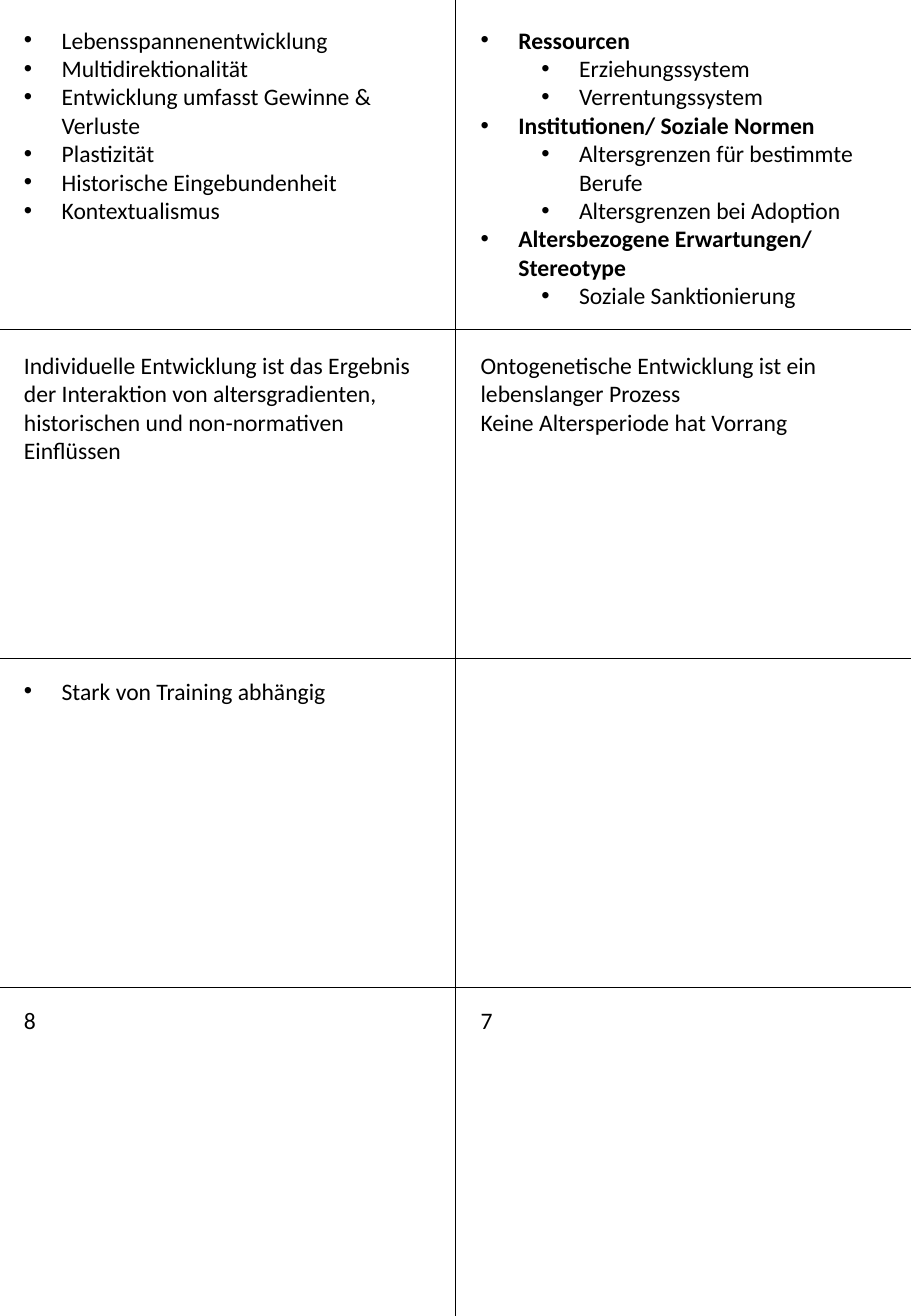
from lxml import etree
from pptx import Presentation
from pptx.dml.color import RGBColor
from pptx.enum.shapes import MSO_CONNECTOR
from pptx.enum.text import MSO_AUTO_SIZE
from pptx.oxml.ns import qn
from pptx.util import Cm, Pt

STRAIGHT = MSO_CONNECTOR.STRAIGHT
GROW = MSO_AUTO_SIZE.SHAPE_TO_FIT_TEXT
COLORS = {"ink": "000000"}
FONT = "Calibri"
WIDE, HIGH = 19.05, 27.51
ROWS, COLS = 4, 2
LEFT, RIGHT = 0.25, 9.8
CARD = 9
LINE, PAD = 0.6, 0.26
HANG, STEP = 0.79, 1.27

TRAITS = [
    "Lebensspannenentwicklung",
    "Multidirektionalität",
    "Entwicklung umfasst Gewinne & Verluste",
    "Plastizität",
    "Historische Eingebundenheit",
    "Kontextualismus",
]
NORMS = [
    ("Ressourcen", ["Erziehungssystem", "Verrentungssystem"]),
    ("Institutionen/ Soziale Normen",
     ["Altersgrenzen für bestimmte Berufe", "Altersgrenzen bei Adoption"]),
    ("Altersbezogene Erwartungen/ Stereotype", ["Soziale Sanktionierung"]),
]
THESIS = ("Individuelle Entwicklung ist das Ergebnis der Interaktion von "
          "altersgradienten, historischen und non-normativen Einflüssen")
PROCESS = [
    "Ontogenetische Entwicklung ist ein lebenslanger Prozess",
    "Keine Altersperiode hat Vorrang",
]


def color(name):
    return RGBColor.from_string(COLORS[name])


def add_rule(slide, x1, y1, x2, y2):
    rule = slide.shapes.add_connector(STRAIGHT, Cm(x1), Cm(y1), Cm(x2), Cm(y2))
    rule.line.color.rgb = color("ink")
    rule.line.width = Pt(0.5)
    etree.SubElement(rule._element.spPr, qn("a:effectLst"))


def add_card(slide, left, top, lines):
    box = slide.shapes.add_textbox(
        Cm(left), Cm(top), Cm(CARD), Cm(lines * LINE + PAD))
    frame = box.text_frame
    frame.word_wrap = True
    frame.auto_size = GROW
    return frame


def write(frame, text, bullet=False, level=0, bold=False, size=14):
    para = frame.paragraphs[0]
    if para.runs:
        para = frame.add_paragraph()
    para.level = level
    if bullet:
        props = para._p.get_or_add_pPr()
        props.set("marL", str(Cm(HANG + level * STEP)))
        props.set("indent", str(-Cm(HANG)))
        etree.SubElement(props, qn("a:buFont"), typeface="Arial")
        etree.SubElement(props, qn("a:buChar"), char="•")
    run = para.add_run()
    run.text = text
    run.font.name = FONT
    run.font.size = Pt(size)
    run.font.bold = bold
    run.font.color.rgb = color("ink")


def main():
    deck = Presentation()
    deck.slide_width, deck.slide_height = Cm(WIDE), Cm(HIGH)
    slide = deck.slides.add_slide(deck.slide_layouts[6])

    for row in range(1, ROWS):
        y = HIGH * row / ROWS
        add_rule(slide, 0, y, WIDE, y)
    add_rule(slide, WIDE / COLS, 0, WIDE / COLS, HIGH)

    traits = add_card(slide, LEFT, 0.41, lines=7)
    for text in TRAITS:
        write(traits, text, bullet=True)

    norms = add_card(slide, RIGHT, 0.41, lines=10)
    for head, items in NORMS:
        write(norms, head, bullet=True, bold=True)
        for text in items:
            write(norms, text, bullet=True, level=1)

    write(add_card(slide, LEFT, 7.21, lines=4), THESIS)
    process = add_card(slide, RIGHT, 7.21, lines=3)
    for text in PROCESS:
        write(process, text)

    skill = add_card(slide, LEFT, 14.02, lines=1)
    write(skill, "Stark von Training abhängig", bullet=True)

    for left, number in ((LEFT, "8"), (RIGHT, "7")):
        write(add_card(slide, left, 20.9, lines=1), number)

    deck.save("out.pptx")


if __name__ == "__main__":
    main()
